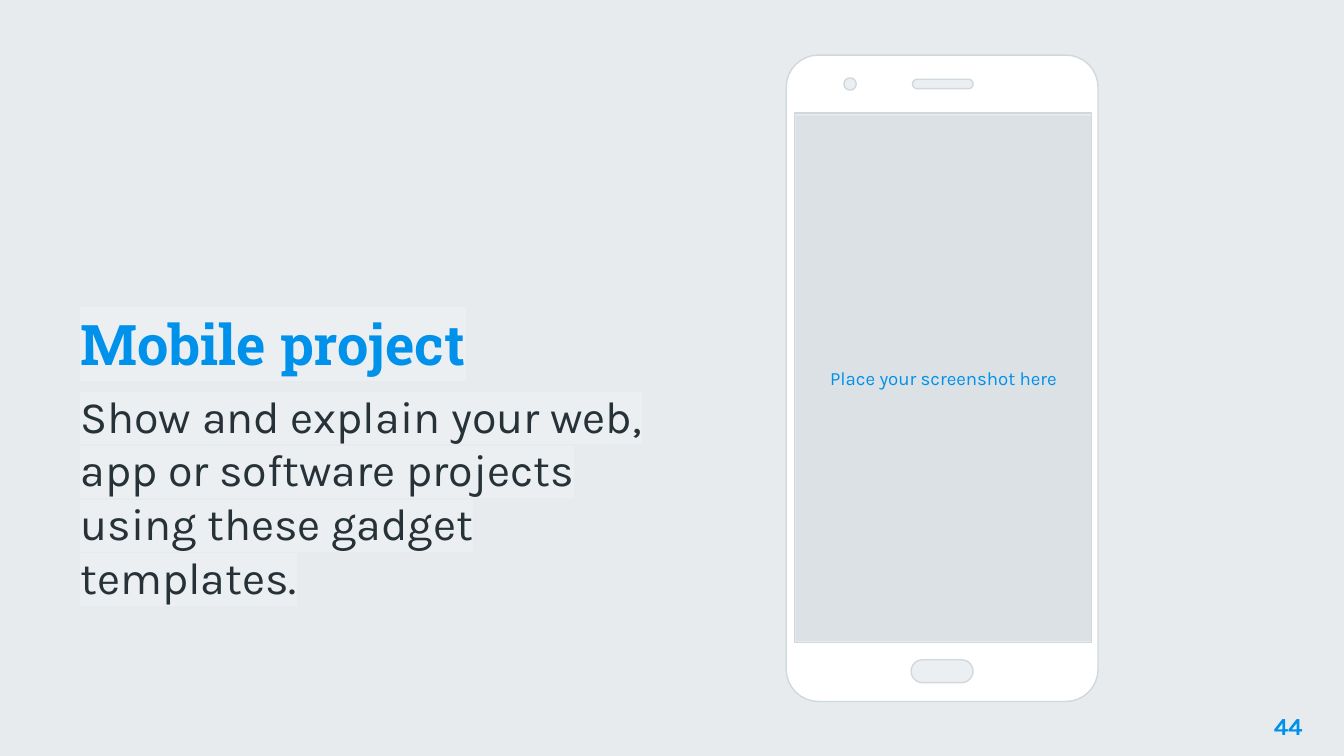
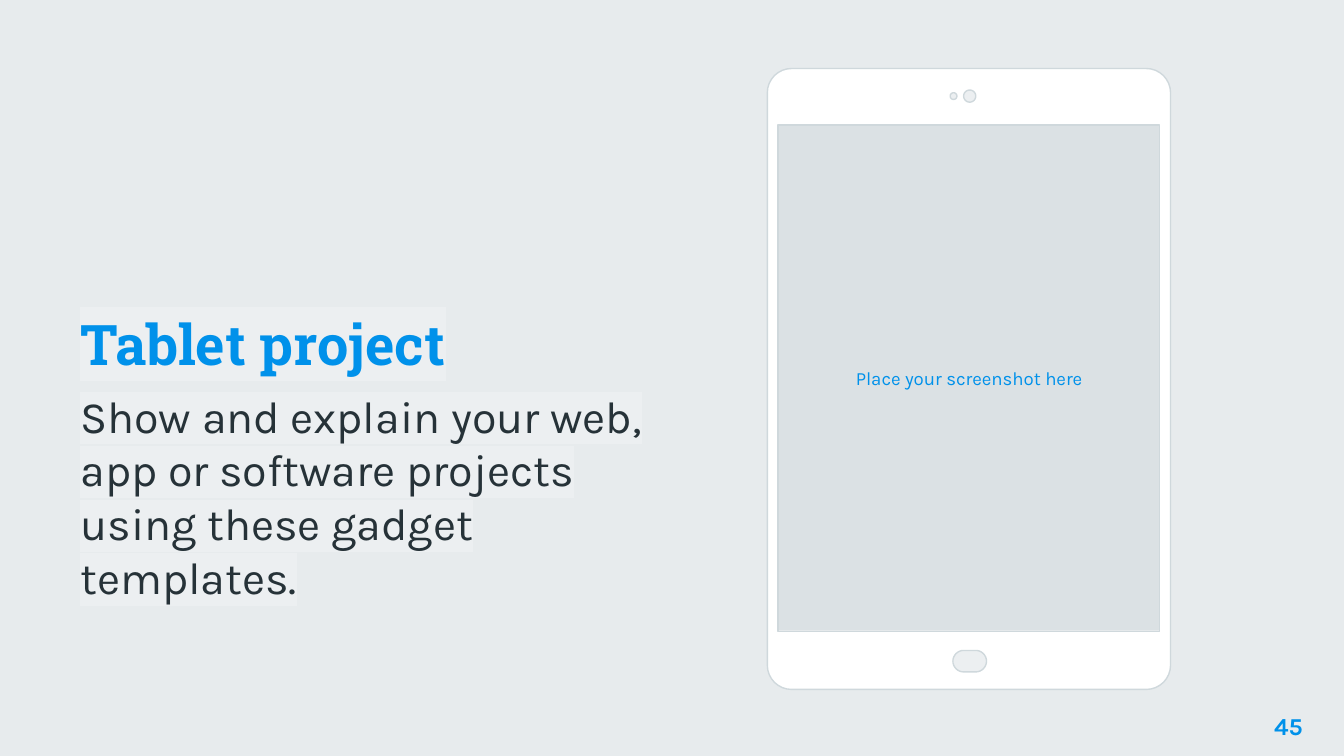
from math import cos, pi, sin

from lxml import etree
from pptx import Presentation
from pptx.dml.color import RGBColor
from pptx.enum.shapes import MSO_SHAPE as Shape
from pptx.enum.text import MSO_ANCHOR as Anchor, PP_ALIGN as Align
from pptx.oxml.ns import qn
from pptx.util import Inches, Pt

# Content: boxes are left, top, width, height in inches
DESCRIPTION = "Show and explain your web, app or software projects using these gadget templates."
SCREEN_LABEL = "Place your screenshot here"
GADGETS = [
    {
        "title": "Mobile project", "number": "44",
        "screen": (5.92, 0.86, 2.2, 3.91),
        "frame": (5.85, 0.41, 2.32, 4.81), "corner": 0.24,
        "opening": (5.91, 0.84, 2.21, 3.94),
        "details": [  # home button, camera, speaker
            (6.78, 4.91, 0.46, 0.17), (6.28, 0.58, 0.09, 0.09), (6.79, 0.59, 0.45, 0.07),
        ],
    },
    {
        "title": "Tablet project", "number": "45",
        "screen": (5.79, 0.93, 2.84, 3.76),
        "frame": (5.71, 0.51, 3, 4.62), "corner": 0.18,
        "opening": (5.79, 0.93, 2.84, 3.77),
        "details": [  # home button, sensor, camera
            (7.09, 4.84, 0.25, 0.16), (7.07, 0.69, 0.05, 0.05), (7.17, 0.67, 0.09, 0.09),
        ],
    },
]

# Shared style
BLUE = RGBColor(0x00, 0x91, 0xEA)
DARK = RGBColor(0x26, 0x32, 0x38)
GREY = RGBColor(0xCF, 0xD8, 0xDC)
PALE = RGBColor(0xEC, 0xEF, 0xF1)
WHITE = RGBColor(0xFF, 0xFF, 0xFF)
TITLE_FONT, BODY_FONT = "Roboto Slab", "Karla"
WASH_OPACITY = 49
CORNER_STEPS = 8


def inches(values):
    return [Inches(value) for value in values]


def write(para, text, font, size, color, bold=False):
    para.font.name, para.font.size, para.font.bold = font, Pt(size), bold
    para.font.color.rgb = color
    span = para.add_run()
    span.text = text
    return span


def highlight(span, color):
    mark = etree.SubElement(span._r.get_or_add_rPr(), qn("a:highlight"))
    etree.SubElement(mark, qn("a:srgbClr")).set("val", str(color))


def set_insets(frame):
    frame.word_wrap = True
    frame.margin_left = frame.margin_top = frame.margin_right = frame.margin_bottom = Inches(0.1)


def add_text_box(page, box, anchor=Anchor.TOP):
    frame = page.shapes.add_textbox(*inches(box)).text_frame
    set_insets(frame)
    frame.vertical_anchor = anchor
    return frame


def add_wash(page, box):
    """Translucent grey rectangle without outline."""
    shape = page.shapes.add_shape(Shape.RECTANGLE, *inches(box))
    shape.shadow.inherit = False
    shape.fill.solid()
    shape.fill.fore_color.rgb = GREY
    color = shape.element.spPr.find(qn("a:solidFill"))[0]
    etree.SubElement(color, qn("a:alpha")).set("val", str(WASH_OPACITY * 1000))
    shape.line.fill.background()
    return shape


def rounded_outline(box, radius):
    """Points of a rounded rectangle, counter-clockwise from the top left."""
    left, top, width, height = box
    right, bottom = left + width - radius, top + height - radius
    centers = [(left + radius, top + radius), (left + radius, bottom),
               (right, bottom), (right, top + radius)]
    points = []
    for corner, (x, y) in enumerate(centers):
        for step in range(CORNER_STEPS + 1):
            angle = (corner + 1 + step / CORNER_STEPS) * pi / 2
            points.append((x + radius * cos(angle), y - radius * sin(angle)))
    return points


def opening_outline(box):
    left, top, width, height = box
    right, bottom = left + width, top + height
    return [(right, top), (right, bottom), (left, bottom), (left, top)]


def add_outline(group, color, *contours):
    first, *others = [[inches(point) for point in contour] for contour in contours]
    builder = group.shapes.build_freeform(*first[0])
    builder.add_line_segments(first[1:], close=True)
    for contour in others:
        builder.move_to(*contour[0])
        builder.add_line_segments(contour[1:], close=True)
    shape = builder.convert_to_shape()
    shape.shadow.inherit = False
    shape.fill.solid()
    shape.fill.fore_color.rgb = color
    shape.line.color.rgb = GREY
    shape.line.width = Pt(0.75)


def add_gadget(page, gadget):
    # Screen
    screen = add_wash(page, gadget["screen"]).text_frame
    set_insets(screen)
    screen.vertical_anchor = Anchor.MIDDLE
    para = screen.paragraphs[0]
    para.alignment = Align.CENTER
    write(para, SCREEN_LABEL, BODY_FONT, 10, BLUE)

    # Frame around the screen, then its buttons and lenses
    group = page.shapes.add_group_shape()
    add_outline(group, WHITE, opening_outline(gadget["opening"]),
                rounded_outline(gadget["frame"], gadget["corner"]))
    for box in gadget["details"]:
        add_outline(group, PALE, rounded_outline(box, min(box[2:]) / 2))


def add_page(deck, gadget):
    page = deck.slides.add_slide(deck.slide_layouts[6])

    # Title and description
    body = add_text_box(page, (0.5, 0.73, 4.49, 3.86), Anchor.BOTTOM)
    title, description = body.paragraphs[0], body.add_paragraph()
    for para in (title, description):
        para.space_before = Pt(6)
    highlight(write(title, gadget["title"], TITLE_FONT, 30, BLUE, True), PALE)
    highlight(write(description, DESCRIPTION, BODY_FONT, 24, DARK), PALE)

    # Page number
    number = add_text_box(page, (9.19, 5.19, 0.6, 0.43)).paragraphs[0]
    number.alignment = Align.RIGHT
    write(number, gadget["number"], BODY_FONT, 13, BLUE, True)

    add_gadget(page, gadget)
    return page


def add_background(deck, page):
    """White master background under a grey wash that every page inherits."""
    master = deck.slide_master
    master.background.fill.solid()
    master.background.fill.fore_color.rgb = WHITE
    wash = add_wash(page, (-0.03, -0.02, 10.06, 5.66))
    wash.element.nvSpPr.cNvPr.set("id", "100")
    master.shapes.element.insert(2, wash.element)


def main():
    deck = Presentation()
    deck.slide_width = Inches(10)
    deck.slide_height = deck.slide_width * 9 // 16
    pages = [add_page(deck, gadget) for gadget in GADGETS]
    add_background(deck, pages[0])
    deck.save("out.pptx")


if __name__ == "__main__":
    main()
